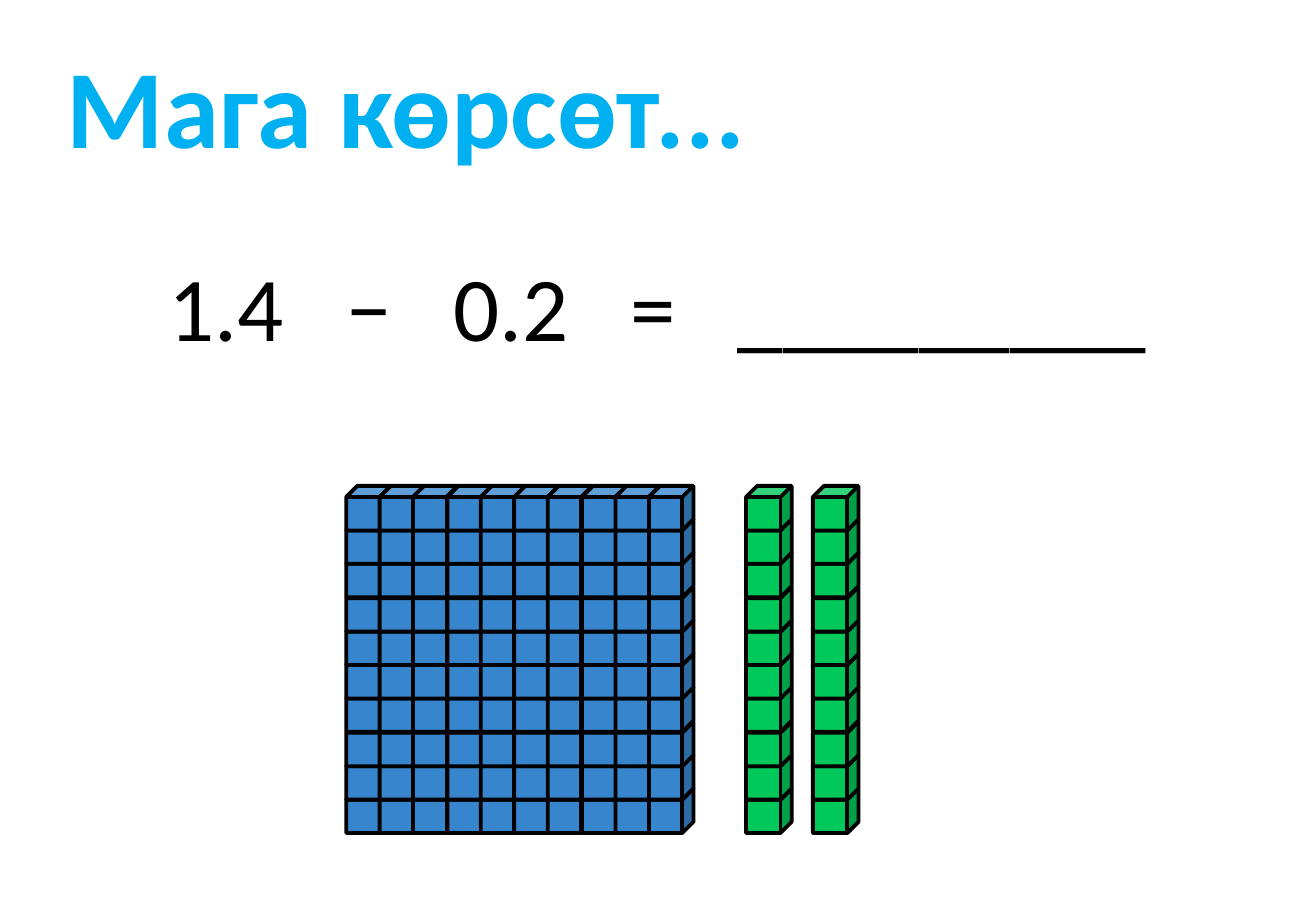
import pptx
import pptx.dml.color
import pptx.enum.shapes
import pptx.enum.text
import pptx.oxml.ns
import pptx.util
from lxml import etree

EMU_PER_PX = 7620
FONT = "Calibri"
COLORS = {"title": "00B0F0", "ink": "000000", "whole": "3786CD", "tenth": "00C85A"}
CUBES_PER_SIDE = 10
CUBE_TOP = 480
CUBE_SIZE = 44
CUBE_SPAN = 299


def px(length):
    """Turn a length in px into EMU."""
    return pptx.util.Emu(length * EMU_PER_PX)


def rgb(name):
    """Return the named palette colour."""
    return pptx.dml.color.RGBColor.from_string(COLORS[name])


def write_text(frame, text, size, color, bold=False, tabs=()):
    """Write one left-aligned paragraph with optional tab stops in px."""
    frame.word_wrap = True
    frame.auto_size = pptx.enum.text.MSO_AUTO_SIZE.NONE
    frame.vertical_anchor = pptx.enum.text.MSO_ANCHOR.TOP
    paragraph = frame.paragraphs[0]
    paragraph.text = text
    paragraph.alignment = pptx.enum.text.PP_ALIGN.LEFT
    if tabs:
        properties = paragraph._p.get_or_add_pPr()
        tab_list = etree.SubElement(properties, pptx.oxml.ns.qn("a:tabLst"))
        for position in tabs:
            etree.SubElement(tab_list, pptx.oxml.ns.qn("a:tab"),
                             pos=str(px(position)), algn="l")
    paragraph.font.name = FONT
    paragraph.font.size = pptx.util.Pt(size)
    paragraph.font.bold = bold
    paragraph.font.color.rgb = rgb(color)


def add_title(slide, text, left, top, width, height):
    """Place and format the slide title."""
    title = slide.shapes.title
    title.left, title.top, title.width, title.height = map(px, (left, top, width, height))
    write_text(title.text_frame, text, size=66, color="title", bold=True)


def add_equation(slide, terms, left, top, width, height, tabs):
    """Set the terms of an equation on tab stops."""
    equation = slide.shapes.add_textbox(*map(px, (left, top, width, height)))
    write_text(equation.text_frame, "\t".join(terms), size=54, color="ink", tabs=tabs)


def add_cube(block, left, top, width, color):
    """Add one outlined cube to a block."""
    cube = block.shapes.add_shape(pptx.enum.shapes.MSO_SHAPE.CUBE,
                                  *map(px, (left, top, width, CUBE_SIZE)))
    cube.shadow.inherit = False
    cube.fill.solid()
    cube.fill.fore_color.rgb = rgb(color)
    cube.line.color.rgb = rgb("ink")
    cube.line.width = pptx.util.Pt(2.25)


def add_block(slide, left, columns, color, cube_width=CUBE_SIZE):
    """Group columns of cubes, stacked from the bottom up."""
    block = slide.shapes.add_group_shape()
    offsets = [round(CUBE_SPAN * i / (CUBES_PER_SIDE - 1)) for i in range(CUBES_PER_SIDE)]
    for column_offset in offsets[:columns]:
        for row_offset in reversed(offsets):
            add_cube(block, left + column_offset, CUBE_TOP + row_offset, cube_width, color)


def main():
    """Build the decimal subtraction slide."""
    deck = pptx.Presentation()
    deck.slide_width, deck.slide_height = px(1300), px(900)
    slide = deck.slides.add_slide(deck.slide_layouts[5])
    add_title(slide, "Мага көрсөт...", left=54, top=31, width=880, height=145)
    add_equation(slide, ["1.4", "−", "0.2", "=", "_________"],
                 left=155, top=241, width=1000, height=121, tabs=(175, 281, 456, 562))
    add_block(slide, left=342, columns=CUBES_PER_SIDE, color="whole")
    for rod_left in (737, 803):
        add_block(slide, left=rod_left, columns=1, color="tenth", cube_width=45)
    deck.save("out.pptx")


if __name__ == "__main__":
    main()
